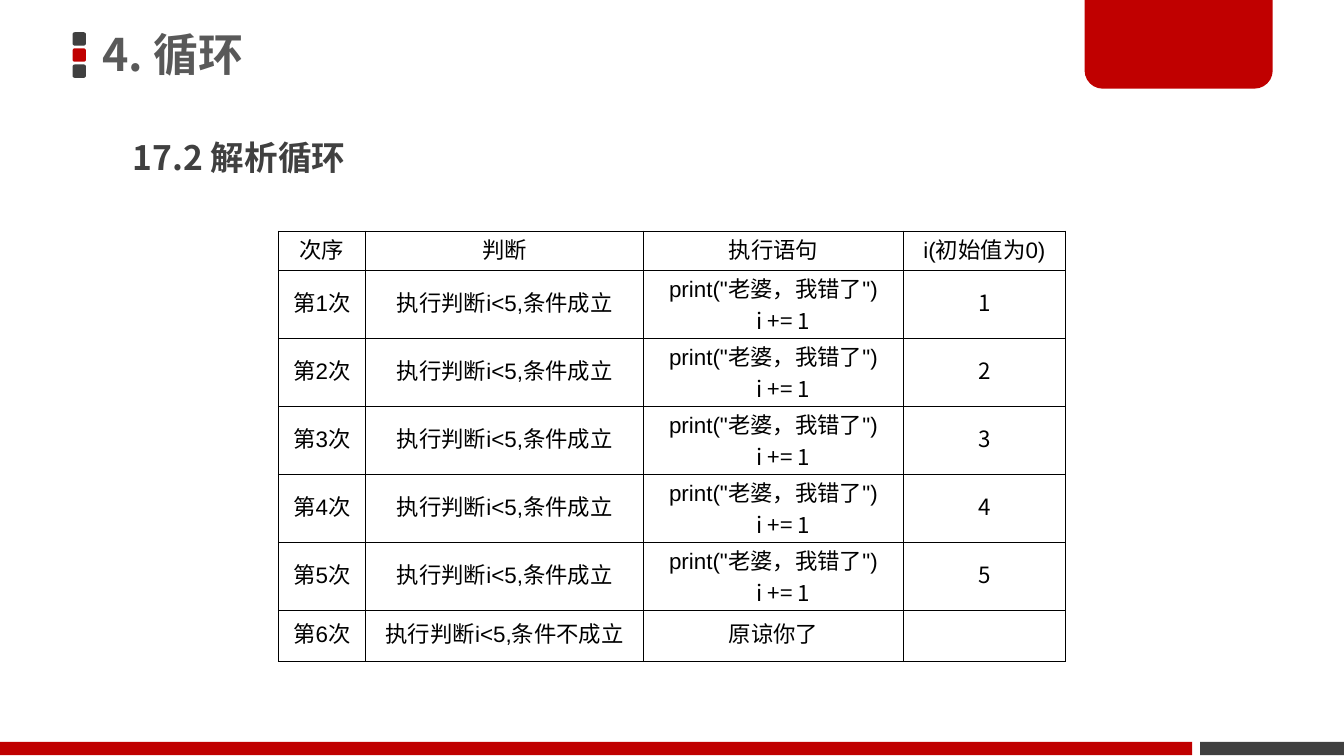
"""Build the slide that traces a counting loop step by step."""
from lxml import etree
from pptx import Presentation
from pptx.dml.color import RGBColor
from pptx.enum.shapes import MSO_SHAPE
from pptx.enum.text import MSO_ANCHOR, PP_ALIGN
from pptx.oxml import parse_xml
from pptx.oxml.ns import nsdecls, qn
from pptx.util import Inches, Pt

RECTANGLE = MSO_SHAPE.RECTANGLE
ROUNDED = MSO_SHAPE.ROUNDED_RECTANGLE
BOTTOM_ROUNDED = MSO_SHAPE.ROUND_2_SAME_RECTANGLE
MIDDLE = MSO_ANCHOR.MIDDLE
CENTER = PP_ALIGN.CENTER

RED, DARK, GRAY, BLACK = "C00000", "404040", "595959", "000000"
LATIN_FONT, CJK_FONT = "Arial", "Noto Sans CJK SC"
SLIDE_WIDTH = 10
SLIDE_HEIGHT = SLIDE_WIDTH * 9 / 16

TITLE = "4. 循环"
SUBTITLE = "17.2 解析循环"
HEADER = ["次序", "判断", "执行语句", "i(初始值为0)"]
STATEMENTS = 'print("老婆，我错了")\ni += 1'
PASSES = 5
ROWS = (
    [HEADER]
    + [[f"第{i}次", "执行判断i<5,条件成立", STATEMENTS, str(i)] for i in range(1, PASSES + 1)]
    + [["第6次", "执行判断i<5,条件不成立", "原谅你了", ""]]
)
COLUMN_WIDTHS = [0.65, 2.07, 1.93, 1.21]
TABLE_HEIGHT, HEADER_HEIGHT, LAST_HEIGHT = 3.2, 0.29, 0.38
PASS_HEIGHT = (TABLE_HEIGHT - HEADER_HEIGHT - LAST_HEIGHT) / PASSES
ROW_HEIGHTS = [HEADER_HEIGHT] + [PASS_HEIGHT] * PASSES + [LAST_HEIGHT]

SHAPES = [
    (ROUNDED, (0.54, 0.24, 0.1, 0.1), DARK, [0.167]),
    (ROUNDED, (0.54, 0.36, 0.1, 0.1), RED, [0.167]),
    (ROUNDED, (0.54, 0.48, 0.1, 0.1), DARK, [0.167]),
    (RECTANGLE, (8.93, 5.52, 1.07, 0.1), DARK, []),
    (BOTTOM_ROUNDED, (8.07, -0.02, 1.4, 0.68), RED, [0, 0.2]),
    (RECTANGLE, (0, 5.52, 8.87, 0.1), RED, []),
]


def rgb(color):
    return RGBColor.from_string(color)


def format_run(run, size, color, font=CJK_FONT, bold=False):
    run.font.size = Pt(size)
    run.font.bold = bold
    run.font.color.rgb = rgb(color)
    run.font.name = font
    etree.SubElement(run.font._element, qn("a:ea")).set("typeface", CJK_FONT)


def add_block(slide, kind, box, color, adjustments):
    shape = slide.shapes.add_shape(kind, *map(Inches, box))
    shape.shadow.inherit = False
    shape.fill.solid()
    shape.fill.fore_color.rgb = rgb(color)
    shape.line.fill.background()
    for index, value in enumerate(adjustments):
        shape.adjustments[index] = value


def add_heading(slide, text, box, size, color):
    text_frame = slide.shapes.add_textbox(*map(Inches, box)).text_frame
    text_frame.word_wrap = True
    text_frame.text = text
    format_run(text_frame.paragraphs[0].runs[0], size, color, bold=True)
    return text_frame


def add_borders(cell):
    properties = cell._tc.get_or_add_tcPr()
    for side in ("lnL", "lnR", "lnT", "lnB"):
        properties.append(parse_xml(
            f'<a:{side} {nsdecls("a")} w="{Pt(0.5)}"><a:solidFill>'
            f'<a:srgbClr val="{BLACK}"/></a:solidFill></a:{side}>'
        ))


def fill_cell(cell, text):
    add_borders(cell)
    cell.fill.background()
    cell.vertical_anchor = MIDDLE
    cell.margin_left = cell.margin_right = cell.margin_top = Inches(0.01)
    cell.margin_bottom = Inches(0.05)
    cell.text_frame.text = text
    for index, paragraph in enumerate(cell.text_frame.paragraphs):
        paragraph.alignment = CENTER
        if index:
            paragraph._p.get_or_add_pPr().set("marL", str(Inches(0.15)))
        font = CJK_FONT if index or text.isdecimal() else LATIN_FONT
        for run in paragraph.runs:
            format_run(run, 12, BLACK, font)


def add_trace_table(slide):
    box = (2.07, 1.72, sum(COLUMN_WIDTHS), TABLE_HEIGHT)
    table = slide.shapes.add_table(len(ROWS), len(HEADER), *map(Inches, box)).table
    table.first_row = table.horz_banding = False
    for column, width in zip(table.columns, COLUMN_WIDTHS):
        column.width = Inches(width)
    for row, height, texts in zip(table.rows, ROW_HEIGHTS, ROWS):
        row.height = Inches(height)
        for cell, text in zip(row.cells, texts):
            fill_cell(cell, text)


def main():
    presentation = Presentation()
    presentation.slide_width = Inches(SLIDE_WIDTH)
    presentation.slide_height = Inches(SLIDE_HEIGHT)
    slide = presentation.slides.add_slide(presentation.slide_layouts[6])
    for block in SHAPES:
        add_block(slide, *block)
    add_heading(slide, SUBTITLE, (0.89, 0.97, 4.59, 0.4), 18, DARK)
    title = add_heading(slide, TITLE, (0.69, -0.02, 5.89, 0.89), 24, GRAY)
    title.vertical_anchor = MIDDLE
    title.margin_left = title.margin_right = Inches(0.07)
    title.margin_top = title.margin_bottom = Inches(0.04)
    title.paragraphs[0].line_spacing = 0.9
    add_trace_table(slide)
    presentation.save("out.pptx")


if __name__ == "__main__":
    main()
